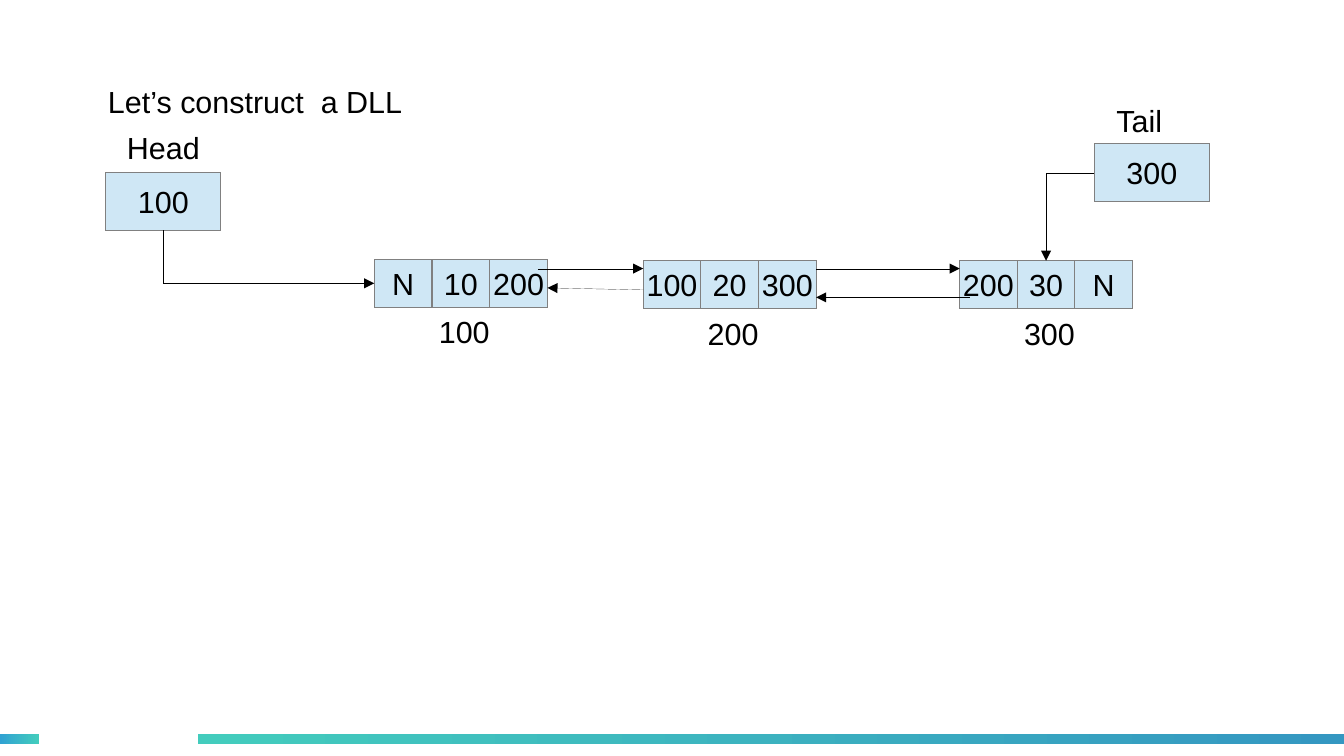
from dataclasses import dataclass

from lxml import etree
from pptx import Presentation
from pptx.dml.color import RGBColor
from pptx.enum.shapes import MSO_CONNECTOR, MSO_SHAPE
from pptx.enum.text import MSO_ANCHOR, MSO_AUTO_SIZE, PP_ALIGN
from pptx.oxml.ns import qn
from pptx.util import Pt

RECT = MSO_SHAPE.RECTANGLE
LINE, ELBOW = MSO_CONNECTOR.STRAIGHT, MSO_CONNECTOR.ELBOW
MIDDLE, TOP = MSO_ANCHOR.MIDDLE, MSO_ANCHOR.TOP
CENTER, LEFT = PP_ALIGN.CENTER, PP_ALIGN.LEFT
GROW, FIXED = MSO_AUTO_SIZE.SHAPE_TO_FIT_TEXT, MSO_AUTO_SIZE.NONE


@dataclass(frozen=True)
class Theme:
    """Colours, font and type size of the slide."""
    ink: str = "000000"
    cell: str = "CFE7F5"
    edge: str = "808080"
    teal: str = "43CCBD"
    sky: str = "30A2D2"
    blue: str = "3497C1"
    font: str = "Arial"
    size: int = 18


THEME = Theme()
CELL_W, CELL_H = 34.05, 28.2
BOX_W, BOX_H = 68, 34
TEXT_H = 27.2


def color(code):
    """Turn a hex code into a colour."""
    return RGBColor.from_string(code)


def assign(item, values):
    """Set each attribute of item from a dict."""
    for name, value in values.items():
        setattr(item, name, value)


def write(shape, text, anchor, align, fit):
    """Put one line of text into a shape."""
    frame = shape.text_frame
    frame.text = text
    assign(frame, {
        "word_wrap": False, "auto_size": fit, "vertical_anchor": anchor,
        "margin_left": Pt(7.2), "margin_right": Pt(7.2),
        "margin_top": Pt(3.6), "margin_bottom": Pt(3.6)})
    para = frame.paragraphs[0]
    para.alignment = align
    font = para.runs[0].font
    assign(font, {"name": THEME.font, "size": Pt(THEME.size)})
    font.color.rgb = color(THEME.ink)


def label(slide, text, x, y, w):
    """Add a free line of text."""
    shape = slide.shapes.add_textbox(Pt(x), Pt(y), Pt(w), Pt(TEXT_H))
    write(shape, text, TOP, LEFT, GROW)


def rect(slide, x, y, w, h):
    """Add a rectangle without a shadow."""
    shape = slide.shapes.add_shape(RECT, Pt(x), Pt(y), Pt(w), Pt(h))
    shape.shadow.inherit = False
    return shape


def hairline(shape, code):
    """Give a shape the thinnest line; width 0 must be written out."""
    shape.line.color.rgb = color(code)
    edge = shape.line._get_or_add_ln()
    edge.set("w", "0")
    return edge


def box(slide, text, x, y, w, h):
    """Add a filled cell with centred text."""
    shape = rect(slide, x, y, w, h)
    shape.fill.solid()
    shape.fill.fore_color.rgb = color(THEME.cell)
    hairline(shape, THEME.edge)
    write(shape, text, MIDDLE, CENTER, FIXED)


def node(slide, parts, place, x, y):
    """Add a list node: previous, data and next, with its address below."""
    for i, part in enumerate(parts):
        box(slide, part, x + i * CELL_W, y, CELL_W, CELL_H)
    label(slide, place, x + 31, y + CELL_H, 45)


def bar(slide, x, w, stops, angle):
    """Add a gradient bar at the foot of the slide."""
    shape = rect(slide, x, 433.4, w, 6)
    shape.line.fill.background()
    shape.fill.gradient()
    shape.fill.gradient_angle = angle
    for stop, code in zip(shape.fill.gradient_stops, stops):
        stop.color.rgb = color(code)


def arrow(slide, start, end, kind=LINE):
    """Add a thin line with an arrowhead at its end."""
    link = slide.shapes.add_connector(kind, *map(Pt, start + end))
    edge = hairline(link, THEME.ink)
    etree.SubElement(edge, qn("a:tailEnd"), type="triangle")
    props = link._element.spPr
    etree.SubElement(props, qn("a:effectLst"))
    return props


def bend(slide, start, end, down=False):
    """Add an arrow with one corner, going sideways or down first."""
    if down:
        mid_x, mid_y = (start[0] + end[0]) / 2, (start[1] + end[1]) / 2
        half_w, half_h = (end[1] - start[1]) / 2, (end[0] - start[0]) / 2
        start = (mid_x + half_w, mid_y - half_h)
        end = (mid_x - half_w, mid_y + half_h)
    props = arrow(slide, start, end, ELBOW)
    props.find(qn("a:prstGeom")).set("prst", "bentConnector2")
    if down:
        props.find(qn("a:xfrm")).set("rot", str(270 * 60000))


def main():
    """Build the slide and save it."""
    deck = Presentation()
    deck.slide_width, deck.slide_height = Pt(793.44), Pt(446.4)
    slide = deck.slides.add_slide(deck.slide_layouts[6])

    bar(slide, 0, 23, (THEME.teal, THEME.sky), 180)
    bar(slide, 116.8, 676.6, (THEME.teal, THEME.blue), 0)

    label(slide, "Let’s construct  a DLL", 56.7, 45.4, 188)
    label(slide, "Head", 67.9, 72.7, 57.6)
    label(slide, "Tail", 652, 56.9, 43)
    box(slide, "100", 62.4, 102, BOX_W, BOX_H)
    box(slide, "300", 646, 84.9, BOX_W, BOX_H)

    nodes = (
        (("N", "10", "200"), "100", 221, 153.4),
        (("100", "20", "300"), "200", 379.7, 154),
        (("200", "30", "N"), "300", 566.5, 154))
    for item in nodes:
        node(slide, *item)

    links = (
        ((317.6, 158.6), (379.8, 158.6)),
        ((481.8, 158.6), (566.6, 158.6)),
        ((572.4, 175.6), (481.8, 175.6)),
        ((379.8, 171.2), (323.2, 170)))
    for start, end in links:
        arrow(slide, start, end)

    bend(slide, (96.4, 136), (221, 167.3), down=True)
    bend(slide, (646, 102.2), (617.6, 154))
    deck.save("out.pptx")


main()
